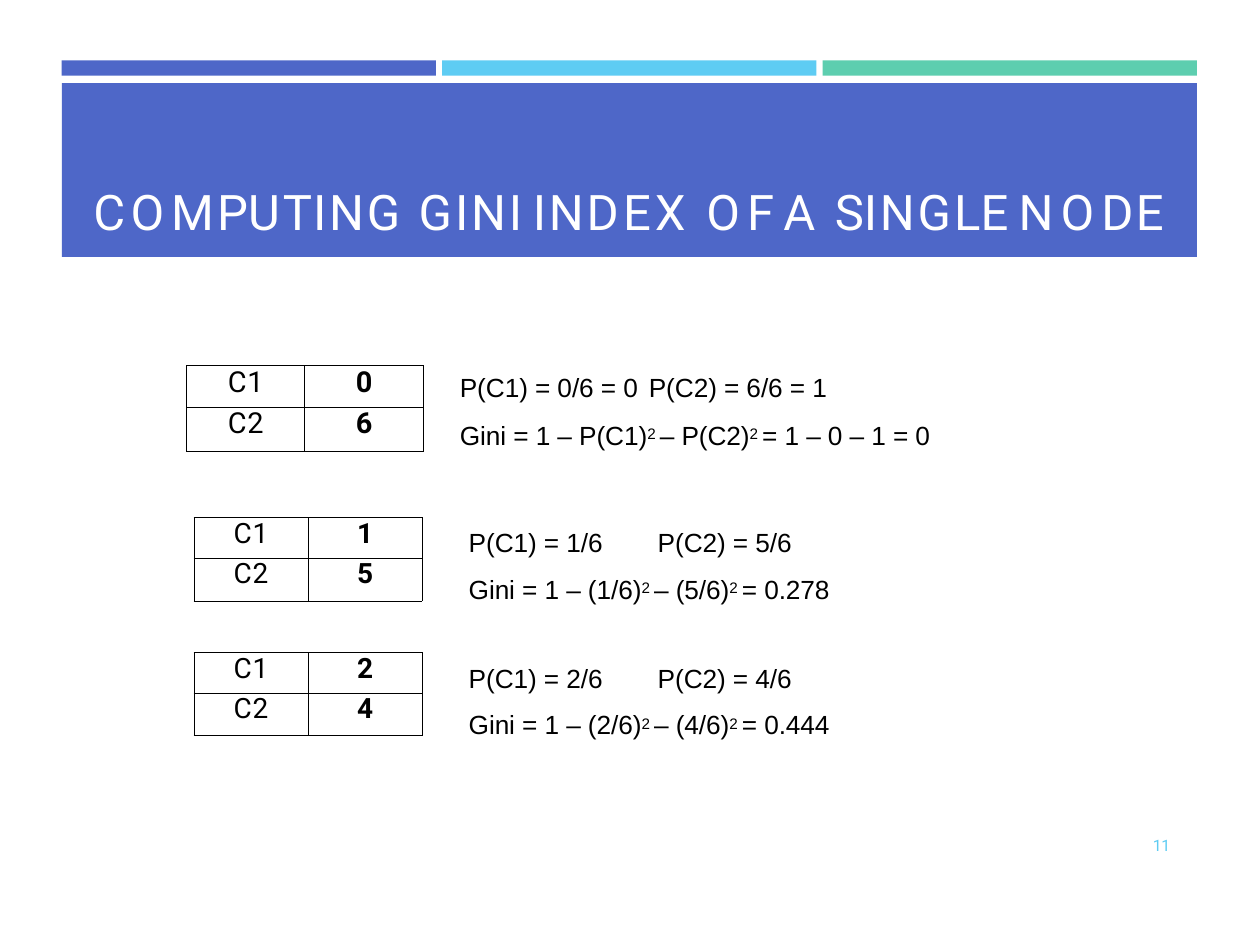
import pptx
import pptx.util
import pptx.dml.color
import pptx.enum.shapes
import pptx.enum.text
import pptx.oxml.ns
import lxml.etree

Inches, Pt = pptx.util.Inches, pptx.util.Pt
ALIGN = pptx.enum.text.PP_ALIGN
qn = pptx.oxml.ns.qn

# Content
TITLE = [  # text, letter spacing in points
    ("C", 3.1), ("O", 4), ("M", 1.9), ("P", -1.4), ("U", 1.7), ("T", 0.6),
    ("IN", 1.6), ("G G", 1.8), ("IN", 1.6), ("I ", -0.8), ("IN", 1.6),
    ("DEX ", 2.4), ("O", 4), ("F ", -1.6), ("A ", 2.1), ("S", -0.6),
    ("IN", 1.6), ("G", 1.8), ("L", -0.5), ("E ", -1), ("NO", 4), ("DE", 1.4),
]
EXAMPLES = [
    {"counts": [("C1", "0"), ("C2", "6")],
     "chances": "P(C1) = 0/6 = 0\tP(C2) = 6/6 = 1",
     "gini": "Gini = 1 – P(C1)² – P(C2)² = 1 – 0 – 1 = 0",
     "table": (1.48, 2.9, 1.88), "rows": (0.33, 0.35), "size": 16.5,
     "indent": 0.08, "before": (0, 9.1)},
    {"counts": [("C1", "1"), ("C2", "5")],
     "chances": "P(C1) = 1/6\tP(C2) = 5/6",
     "gini": "Gini = 1 – (1/6)² – (5/6)² = 0.278",
     "table": (1.54, 4.11, 1.81), "rows": (0.32, 0.34), "size": 16,
     "indent": 0.15, "before": (43.3, 8.6)},
    {"counts": [("C1", "2"), ("C2", "4")],
     "chances": "P(C1) = 2/6\tP(C2) = 4/6",
     "gini": "Gini = 1 – (2/6)² – (4/6)² = 0.444",
     "table": (1.54, 5.18, 1.81), "rows": (0.32, 0.34), "size": 16,
     "indent": 0.15, "before": (33, 8.6)},
]
PAGE_NUMBER = "11"

THEME = {
    "blue": "4E67C8", "sky": "5ECCF3", "green": "5DCEAF",
    "ink": "000000", "paper": "FFFFFF",
    "heading": "Roboto", "body": "Arial",
    "title_size": 28, "formula_size": 15, "number_size": 9,
}
LEFT, WIDTH, BAR_GAP = 0.49, 9.01, 0.05


def color(name):
    return pptx.dml.color.RGBColor.from_string(THEME[name])


def style(span, font, size, ink, spacing=0, bold=False):
    span.font.name, span.font.size, span.font.bold = THEME[font], Pt(size), bold
    span.font.color.rgb = color(ink)
    span.font._element.set("spc", str(round(spacing * 100)))


def add_band(page, left, top, width, height, fill):
    band = page.shapes.add_shape(pptx.enum.shapes.MSO_SHAPE.RECTANGLE,
                                 *map(Inches, (left, top, width, height)))
    band.shadow.inherit = False
    band.fill.solid()
    band.fill.fore_color.rgb = color(fill)
    band.line.fill.background()
    return band


def set_frame(frame, left=0, top=0):
    frame.word_wrap = True
    frame.vertical_anchor = pptx.enum.text.MSO_ANCHOR.TOP
    frame.margin_left, frame.margin_top = Inches(left), Inches(top)
    frame.margin_right = frame.margin_bottom = 0


def add_text_box(page, left, top, width, height, inset_left=0, inset_top=0):
    box = page.shapes.add_textbox(*map(Inches, (left, top, width, height)))
    set_frame(box.text_frame, inset_left, inset_top)
    return box.text_frame


def outline(cell):
    properties = cell._tc.get_or_add_tcPr()
    for position, side in enumerate(("lnL", "lnR", "lnT", "lnB")):
        line = lxml.etree.Element(qn("a:" + side), w=str(Pt(0.5)))
        fill = lxml.etree.SubElement(line, qn("a:solidFill"))
        lxml.etree.SubElement(fill, qn("a:srgbClr"), val=THEME["ink"])
        properties.insert(position, line)


def add_counts(page, example):
    left, top, width = example["table"]
    heights = example["rows"]
    table = page.shapes.add_table(
        2, 2, *map(Inches, (left, top, width, sum(heights)))).table
    for row, height, values in zip(table.rows, heights, example["counts"]):
        row.height = Inches(height)
        for column, value in enumerate(values):
            cell = row.cells[column]
            cell.fill.background()
            cell.margin_left = cell.margin_right = 0
            cell.margin_top = cell.margin_bottom = 0
            cell.text_frame.text = value
            para = cell.text_frame.paragraphs[0]
            para.alignment, para.space_before = ALIGN.CENTER, Pt(0.3)
            style(para.runs[0], "heading", example["size"], "ink",
                  spacing=0 if column else 0.5, bold=column == 1)
            outline(cell)


def add_formula(para, text, indent, before):
    para.space_before = Pt(before)
    properties = para._p.get_or_add_pPr()
    properties.set("marL", str(Inches(indent)))
    properties.set("indent", "0")
    tabs = lxml.etree.SubElement(properties, qn("a:tabLst"))
    lxml.etree.SubElement(tabs, qn("a:tab"), pos=str(Inches(1.79)), algn="l")
    for order, piece in enumerate(text.split("² ")):
        for words, raised in (("2 ", True), (piece, False)):
            if raised and order == 0:
                continue
            span = para.add_run()
            span.text = words
            style(span, "body", THEME["formula_size"], "ink", spacing=-0.05)
            if raised:
                span.font._element.set("baseline", "22000")


def main():
    deck = pptx.Presentation()
    deck.slide_width, deck.slide_height = Inches(10), Inches(7.5)
    page = deck.slides.add_slide(deck.slide_layouts[6])

    # Three accent bars
    bar = (WIDTH - 2 * BAR_GAP) / 3
    for column, fill in enumerate(("blue", "sky", "green")):
        add_band(page, LEFT + column * (bar + BAR_GAP), 0.48, bar, 0.12, fill)

    # Title band
    title = add_band(page, LEFT, 0.66, WIDTH, 1.38, "blue").text_frame
    set_frame(title, left=0.25, top=0.78)
    title.paragraphs[0].alignment = ALIGN.LEFT
    for letters, spacing in TITLE:
        span = title.paragraphs[0].add_run()
        span.text = letters
        style(span, "heading", THEME["title_size"], "paper", spacing)

    # Class counts and their Gini formulas
    formulas = add_text_box(page, 3.57, 2.81, 3.98, 3.05, inset_top=0.14)
    for number, example in enumerate(EXAMPLES):
        add_counts(page, example)
        lines = (example["chances"], example["gini"])
        for order, (text, before) in enumerate(zip(lines, example["before"])):
            first = number == order == 0
            para = formulas.paragraphs[0] if first else formulas.add_paragraph()
            add_formula(para, text, example["indent"], before)

    # Page number
    corner = add_text_box(page, 9.11, 6.63, 0.21, 0.17, inset_left=0.04)
    corner.text = PAGE_NUMBER
    style(corner.paragraphs[0].runs[0], "heading", THEME["number_size"], "sky", -0.2)

    deck.save("out.pptx")


if __name__ == "__main__":
    main()
